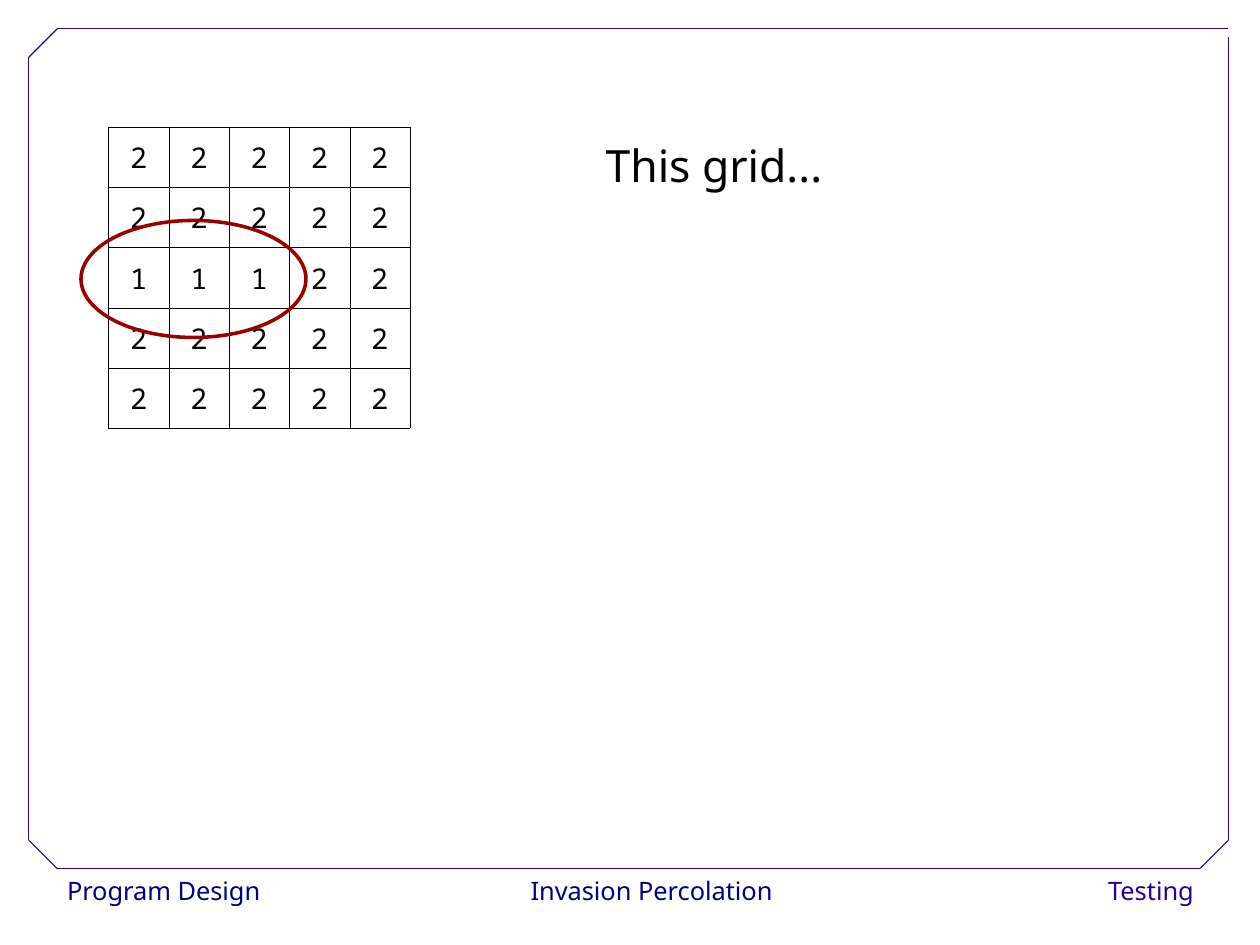
from lxml import etree
from pptx import Presentation, util as u
from pptx.dml.color import RGBColor
from pptx.enum import shapes, text
from pptx.oxml import ns

NAVY = RGBColor(0x00, 0x00, 0x80)
VIOLET = RGBColor(0x28, 0x00, 0x99)
DARK_RED = RGBColor(0x99, 0x00, 0x00)
BLACK = RGBColor(0x00, 0x00, 0x00)
WHITE = RGBColor(0xFF, 0xFF, 0xFF)
LEFT, CENTER, RIGHT = text.PP_ALIGN.LEFT, text.PP_ALIGN.CENTER, text.PP_ALIGN.RIGHT


def write(frame, words, size, color=BLACK, font="Noto Sans", align=LEFT, spacing=1.02):
    frame.word_wrap = True
    paragraph = frame.paragraphs[0]
    paragraph.alignment = align
    paragraph.line_spacing = spacing
    run = paragraph.add_run()
    run.text = words
    run.font.size = u.Pt(size)
    run.font.name = font
    run.font.color.rgb = color


def outline_cell(cell):
    """Give all four sides of a table cell a hairline border."""
    properties = cell._tc.get_or_add_tcPr()
    for side in ("a:lnL", "a:lnR", "a:lnT", "a:lnB"):
        border = etree.SubElement(properties, ns.qn(side), w=str(u.Pt(0.06)))
        fill = etree.SubElement(border, ns.qn("a:solidFill"))
        etree.SubElement(fill, ns.qn("a:srgbClr"), val=str(BLACK))


prs = Presentation()
prs.slide_width, prs.slide_height = u.Cm(28), u.Cm(21)
slide = prs.slides.add_slide(prs.slide_layouts[6])

# Footer labels
for words, left, width, color, align in (
    ("Program Design", 1.24, 5.2, NAVY, LEFT),
    ("Invasion Percolation", 11.28, 6.4, NAVY, CENTER),
    ("Testing", 23.22, 3.56, VIOLET, RIGHT),
):
    label = slide.shapes.add_textbox(u.Cm(left), u.Cm(19.3), u.Cm(width), u.Cm(1.02))
    label.fill.solid()
    label.fill.fore_color.rgb = WHITE
    write(label.text_frame, words, 16, color, align=align)

# Page frame with cut corners, open at the top right
X1, X2, X3, X4 = 0.64, 1.27, 26.67, 27.3
Y1, Y2, Y3, Y4 = 0.64, 1.27, 18.67, 19.3
for ends in (
    (X2, Y4, X3, Y4),
    (X1, Y3, X1, Y2),
    (X2, Y1, X4, Y1),
    (X4, Y3, X4, 0.82),
    (X1, Y2, X2, Y1),
    (X3, Y4, X4, Y3),
    (X1, Y3, X2, Y4),
):
    edge = slide.shapes.add_connector(
        shapes.MSO_CONNECTOR.STRAIGHT, *(u.Cm(end) for end in ends))
    edge.line.color.rgb = VIOLET
    edge.line.width = u.Pt(0.75)
    etree.SubElement(edge._element.spPr, ns.qn("a:effectLst"))

# Percolation grid
GRID = ("22222", "22222", "11122", "22222", "22222")
SIDE = 6.7
grid = slide.shapes.add_table(
    len(GRID), len(GRID[0]), u.Cm(2.41), u.Cm(2.82), u.Cm(SIDE), u.Cm(SIDE)).table
grid.first_row = grid.horz_banding = False
for row, values in enumerate(GRID):
    for column, value in enumerate(values):
        cell = grid.cell(row, column)
        cell.vertical_anchor = text.MSO_ANCHOR.MIDDLE
        outline_cell(cell)
        cell.fill.background()
        write(cell.text_frame, value, 18, font="Noto Sans Mono", align=CENTER)

# Remark beside the grid
remark = slide.shapes.add_textbox(u.Cm(13.21), u.Cm(2.34), u.Cm(12.34), u.Cm(2.03))
write(remark.text_frame, "This grid...", 28, spacing=1.5)

# Ring around the filled cells
ring = slide.shapes.add_shape(
    shapes.MSO_SHAPE.OVAL, u.Cm(1.8), u.Cm(4.9), u.Cm(5), u.Cm(2.6))
ring.shadow.inherit = False
ring.fill.background()
ring.line.color.rgb = DARK_RED
ring.line.width = u.Pt(2.25)

prs.save("out.pptx")
